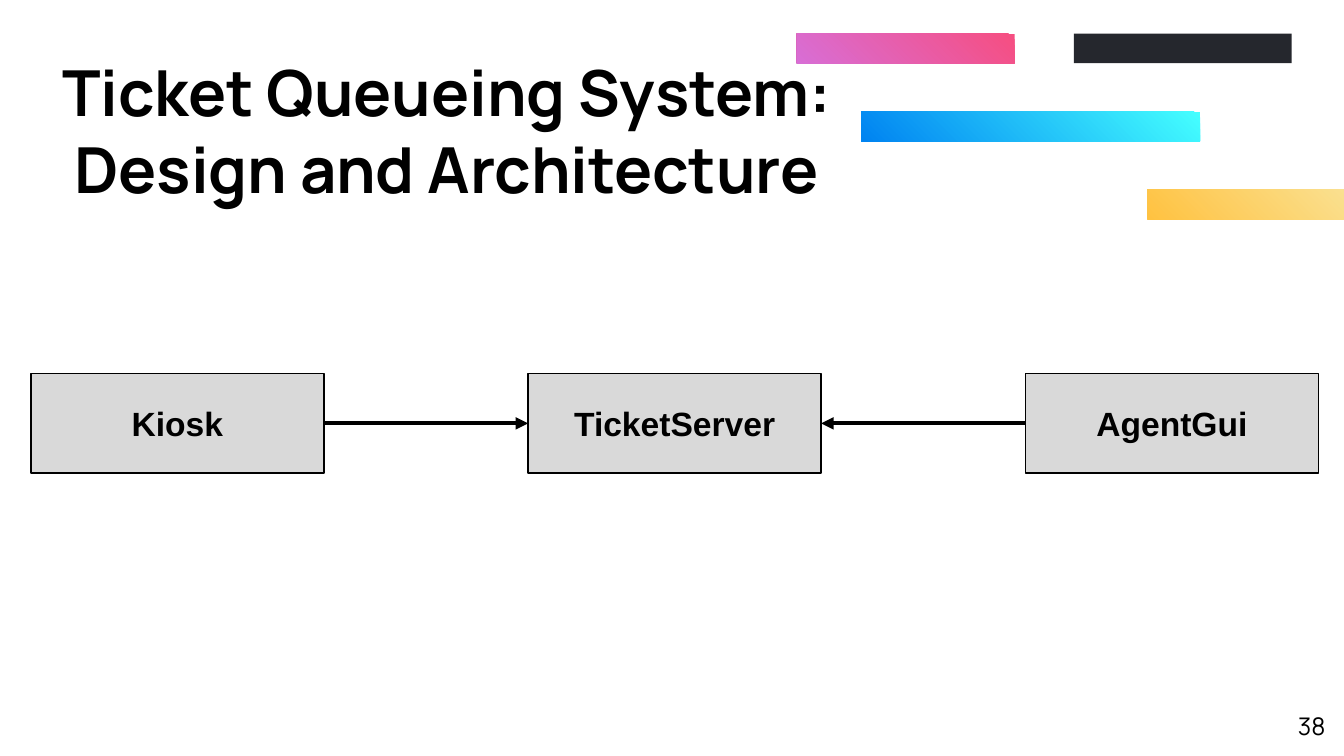
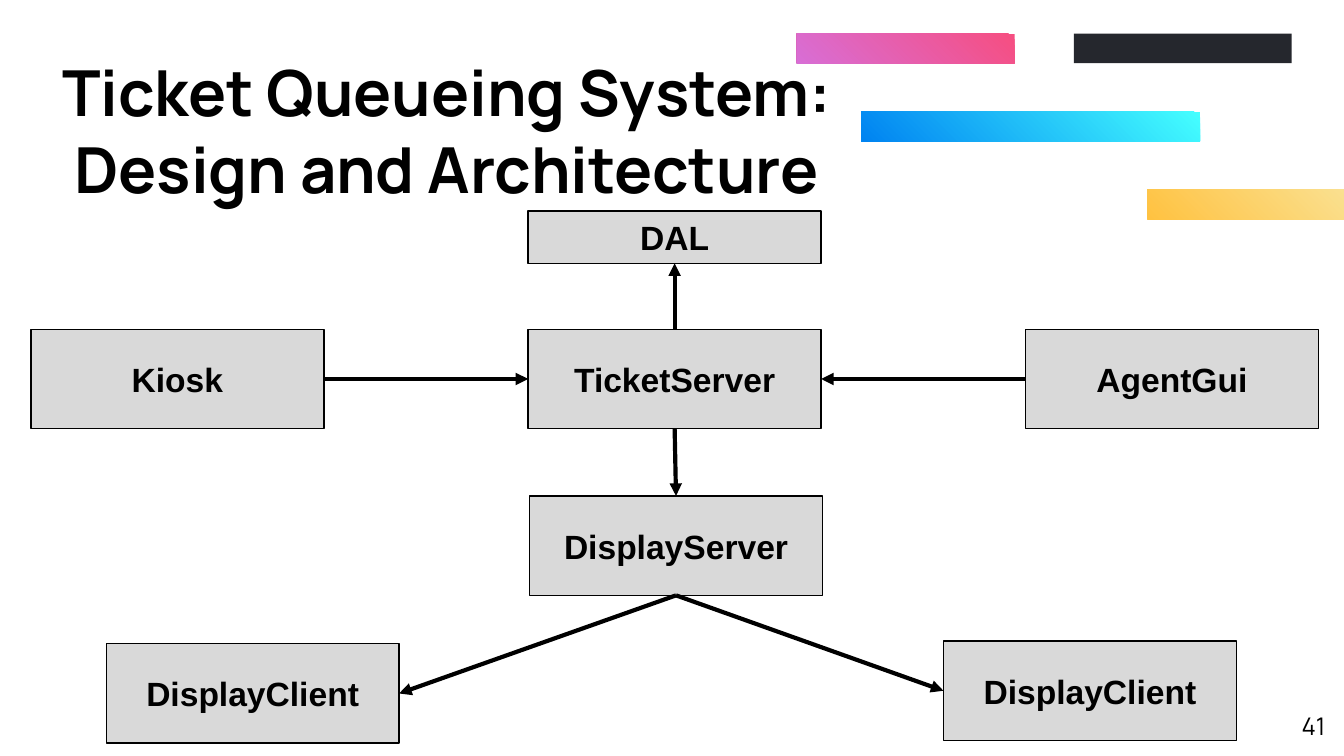
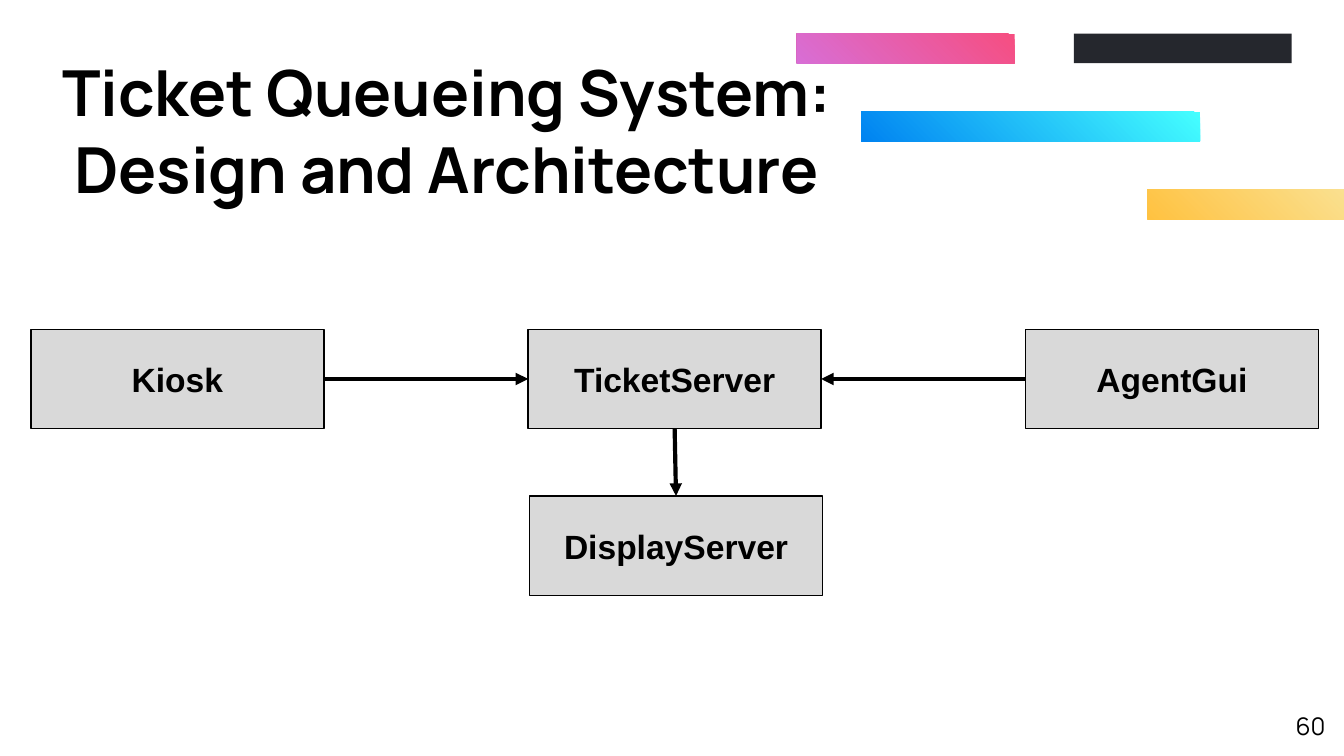
from dataclasses import dataclass

from lxml.etree import SubElement
from pptx import Presentation
from pptx.dml.color import RGBColor
from pptx.enum.shapes import MSO_CONNECTOR as Connector, MSO_SHAPE as Shape
from pptx.enum.text import MSO_ANCHOR as Anchor, PP_ALIGN as Align
from pptx.oxml.ns import qn
from pptx.util import Inches, Pt

# Shared look
BLACK = "000000"
NODE_FILL = "D9D9D9"
TITLE = "Ticket Queueing System:\nDesign and Architecture"
TITLE_FONT = "Manrope"
NODE_FONT = "Arial"
NODE_WIDTH = 2.18
NODE_HEIGHT = 0.74
BAR_HEIGHT = 0.22

# Connection sites of a rectangle
TOP, LEFT, BOTTOM, RIGHT = range(4)


@dataclass
class Bar:
    left: float
    top: float
    width: float
    colors: tuple[str, ...]


@dataclass
class Node:
    label: str
    left: float
    top: float
    height: float = NODE_HEIGHT


@dataclass
class Arrow:
    start: str
    start_site: int
    end: str
    end_site: int


@dataclass
class Diagram:
    page_number: int
    nodes: dict[str, Node]
    arrows: list[Arrow]


BARS = [
    Bar(6.41, 0.83, 2.52, ("45FFFF", "0083F1")),
    Bar(7.99, 0.25, 1.62, ("25272D",)),
    Bar(5.93, 0.25, 1.62, ("F64E81", "D86ED5")),
    Bar(8.54, 1.41, 1.46, ("FAE08F", "FFC241")),
]


def server_row(top: float) -> dict[str, Node]:
    """The three nodes that every diagram has, spaced evenly."""
    labels = ("Kiosk", "TicketServer", "AgentGui")
    return {label: Node(label, 0.23 + 3.7 * column, top)
            for column, label in enumerate(labels)}


SERVER_ARROWS = [
    Arrow("Kiosk", RIGHT, "TicketServer", LEFT),
    Arrow("AgentGui", LEFT, "TicketServer", RIGHT),
]
DISPLAY_NODES = server_row(2.45) | {"DisplayServer": Node("DisplayServer", 3.94, 3.69)}
DISPLAY_ARROWS = SERVER_ARROWS + [Arrow("TicketServer", BOTTOM, "DisplayServer", TOP)]
CLIENT_NODES = {
    "right client": Node("DisplayClient", 7.02, 4.77),
    "left client": Node("DisplayClient", 0.79, 4.79),
    "DAL": Node("DAL", 3.93, 1.57, 0.39),
}
CLIENT_ARROWS = [
    Arrow("DisplayServer", BOTTOM, "right client", LEFT),
    Arrow("DisplayServer", BOTTOM, "left client", RIGHT),
    Arrow("TicketServer", TOP, "DAL", BOTTOM),
]

DIAGRAMS = [
    Diagram(38, server_row(2.78), SERVER_ARROWS),
    Diagram(41, DISPLAY_NODES | CLIENT_NODES, DISPLAY_ARROWS + CLIENT_ARROWS),
    Diagram(60, DISPLAY_NODES, DISPLAY_ARROWS),
]


def rgb(color: str) -> RGBColor:
    return RGBColor.from_string(color)


def write(box, text: str, font: str, size: float, align: Align,
          anchor: Anchor = Anchor.MIDDLE, bold: bool = False) -> None:
    """Put one formatted paragraph into a box."""
    frame = box.text_frame
    frame.word_wrap = True
    frame.vertical_anchor = anchor
    frame.margin_left = frame.margin_right = Inches(0.1)
    frame.margin_top = frame.margin_bottom = Inches(0.1)
    para = frame.paragraphs[0]
    para.text = text
    para.alignment = align
    for span in para.runs:
        span.font.name = font
        span.font.size = Pt(size)
        span.font.bold = bold
        span.font.color.rgb = rgb(BLACK)


def add_rectangle(slide, left: float, top: float, width: float, height: float):
    box = slide.shapes.add_shape(Shape.RECTANGLE, Inches(left), Inches(top),
                                 Inches(width), Inches(height))
    box.shadow.inherit = False
    return box


def add_bar(slide, bar: Bar) -> None:
    box = add_rectangle(slide, bar.left, bar.top, bar.width, BAR_HEIGHT)
    box.line.fill.background()
    if len(bar.colors) == 1:
        box.fill.solid()
        box.fill.fore_color.rgb = rgb(bar.colors[0])
        return
    box.fill.gradient()
    box.fill.gradient_angle = 225
    for stop, color in zip(box.fill.gradient_stops, bar.colors):
        stop.color.rgb = rgb(color)


def add_frame(slide, page_number: int) -> None:
    """Bars, title and page number."""
    for bar in BARS:
        add_bar(slide, bar)
    title = slide.shapes.add_textbox(Inches(0.26), Inches(0.25), Inches(6.13), Inches(1.43))
    write(title, TITLE, TITLE_FONT, 34, Align.CENTER, bold=True)
    number = slide.shapes.add_textbox(Inches(9.36), Inches(5.19), Inches(0.6), Inches(0.43))
    write(number, str(page_number), TITLE_FONT, 13, Align.RIGHT, Anchor.TOP)


def add_node(slide, node: Node):
    box = add_rectangle(slide, node.left, node.top, NODE_WIDTH, node.height)
    box.fill.solid()
    box.fill.fore_color.rgb = rgb(NODE_FILL)
    box.line.color.rgb = rgb(BLACK)
    box.line.width = Pt(0.75)
    write(box, node.label, NODE_FONT, 18, Align.CENTER, bold=True)
    return box


def add_arrow(slide, arrow: Arrow, boxes: dict) -> None:
    line = slide.shapes.add_connector(Connector.STRAIGHT, 0, 0, 0, 0)
    line.begin_connect(boxes[arrow.start], arrow.start_site)
    line.end_connect(boxes[arrow.end], arrow.end_site)
    line.line.color.rgb = rgb(BLACK)
    line.line.width = Pt(2.25)
    SubElement(line.line._get_or_add_ln(), qn("a:tailEnd"), type="triangle")
    SubElement(line._element.spPr, qn("a:effectLst"))


def main() -> None:
    deck = Presentation()
    deck.slide_width = Inches(10)
    deck.slide_height = deck.slide_width * 9 // 16
    for diagram in DIAGRAMS:
        slide = deck.slides.add_slide(deck.slide_layouts[6])
        add_frame(slide, diagram.page_number)
        boxes = {name: add_node(slide, node) for name, node in diagram.nodes.items()}
        for arrow in diagram.arrows:
            add_arrow(slide, arrow, boxes)
    deck.save("out.pptx")


if __name__ == "__main__":
    main()
